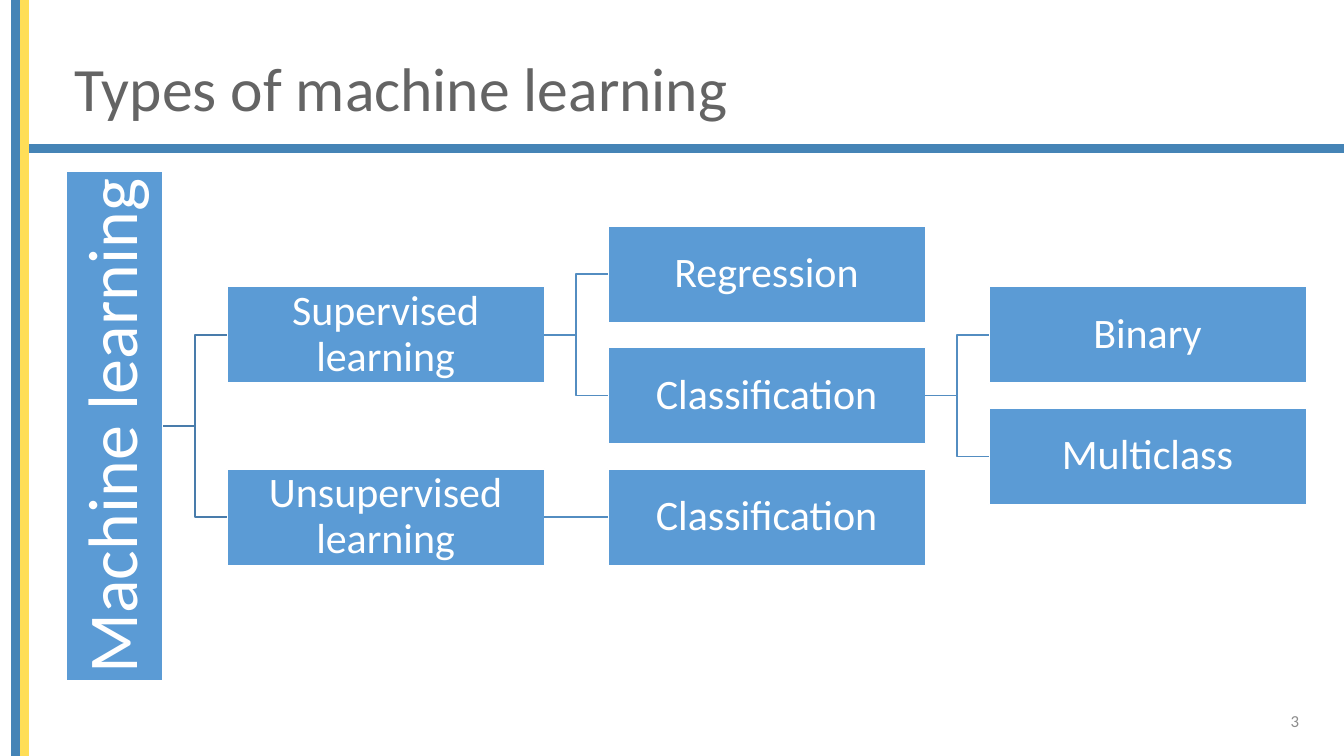
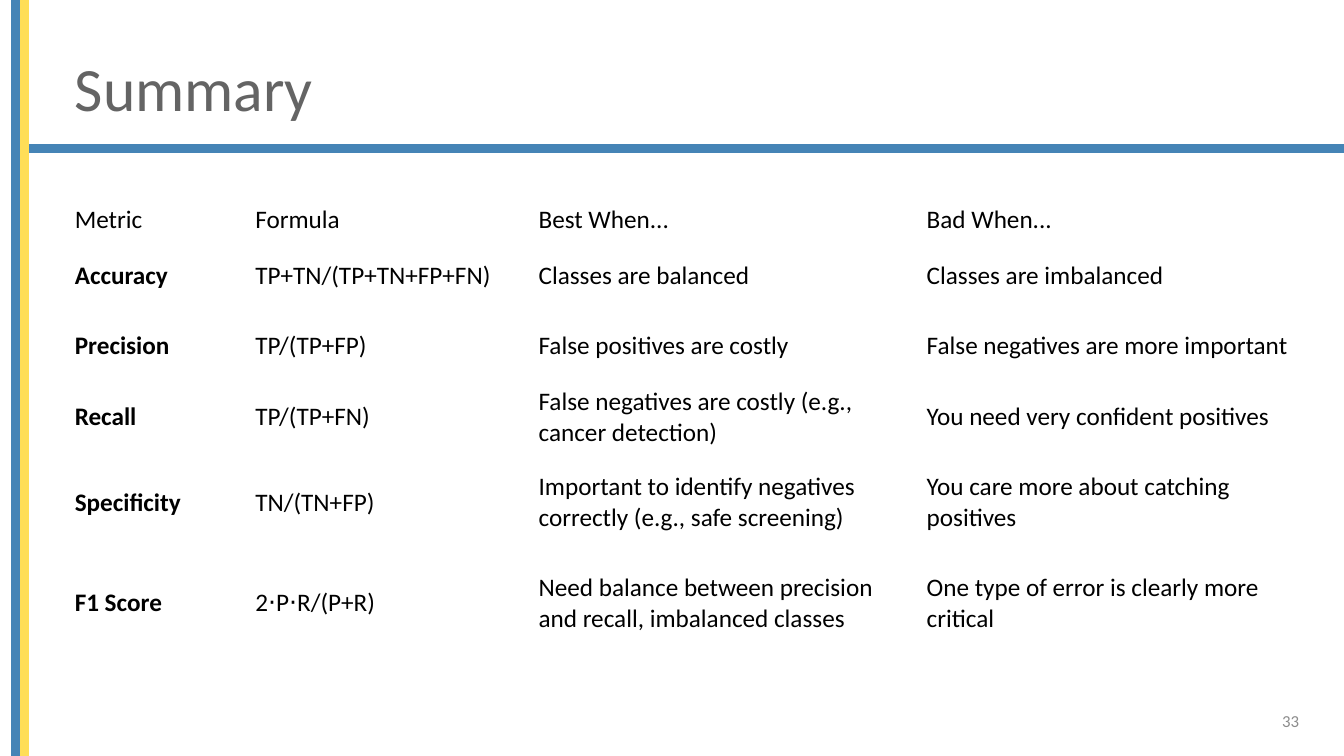
from lxml.etree import SubElement
from pptx import Presentation
from pptx.dml.color import RGBColor
from pptx.enum.shapes import MSO_CONNECTOR, MSO_SHAPE
from pptx.enum.text import MSO_ANCHOR, PP_ALIGN
from pptx.oxml.ns import qn
from pptx.util import Cm, Pt

FONT = "Calibri"
COLORS = {
    "blue": "4584B6",
    "yellow": "FFDE57",
    "title": "646464",
    "number": "8C8C8C",
    "box": "5B9BD5",
    "root_link": "497CAB",
    "link": "538DC1",
    "white": "FFFFFF",
    "black": "000000",
}
SLIDE_W, SLIDE_H = 33.87, 19.05

# Tree grid, in cm: columns of boxes, rows counted from the top box centre
BOX_W, BOX_H = 8, 2.43
COLUMN_X, COLUMN_STEP = 5.72, 9.6
ROW_Y, ROW_STEP = 6.91, 1.53
ROOT_X, ROOT_LENGTH = 1.68, 12.85

# Each node holds its children, or its row if it is a leaf
TREE = ("Machine learning", [
    ("Supervised learning", [
        ("Regression", 0),
        ("Classification", [("Binary", 1), ("Multiclass", 3)]),
    ]),
    ("Unsupervised learning", [("Classification", 4)]),
])

METRICS = [
    ("Metric", "Formula", "Best When...", "Bad When..."),
    ("Accuracy", "TP+TN/(TP+TN+FP+FN)", "Classes are balanced",
     "Classes are imbalanced"),
    ("Precision", "TP/(TP+FP)", "False positives are costly",
     "False negatives are more important"),
    ("Recall", "TP/(TP+FN)",
     "False negatives are costly (e.g., cancer detection)",
     "You need very confident positives"),
    ("Specificity", "TN/(TN+FP)",
     "Important to identify negatives correctly (e.g., safe screening)",
     "You care more about catching positives"),
    ("F1 Score", "2⋅P⋅R/(P+R)",
     "Need balance between precision and recall, imbalanced classes",
     "One type of error is clearly more critical"),
]
METRIC_WIDTHS = (4.55, 7.14, 9.78, 9.91)
METRIC_HEIGHTS = (1.02, 1.78, 1.78, 1.78, 2.54, 2.54)


def rgb(name):
    return RGBColor.from_string(COLORS[name])


def write_text(frame, text, *, size, color, bold=False, align=PP_ALIGN.LEFT,
               spacing=1.0):
    frame.word_wrap = True
    paragraph = frame.paragraphs[0]
    paragraph.alignment = align
    paragraph.line_spacing = spacing
    run = paragraph.add_run()
    run.text = text
    run.font.name = FONT
    run.font.size = Pt(size)
    run.font.bold = bold
    run.font.color.rgb = rgb(color)


def add_box(slide, x, y, width, height, fill, line):
    box = slide.shapes.add_shape(MSO_SHAPE.RECTANGLE,
                                 Cm(x), Cm(y), Cm(width), Cm(height))
    box.shadow.inherit = False
    box.fill.solid()
    box.fill.fore_color.rgb = rgb(fill)
    box.line.color.rgb = rgb(line)
    box.line.width = Pt(1)
    return box


def add_base_slide(prs, title, number):
    """Add a slide with its bands, title and number."""
    slide = prs.slides.add_slide(prs.slide_layouts[5])

    # Bands
    for x, y, width, height, color in (
        (0.51, 3.64, SLIDE_W - 0.51, 0.2, "blue"),
        (0.3, 0, 0.2, SLIDE_H, "blue"),
        (0.51, 0, 0.2, SLIDE_H, "yellow"),
    ):
        add_box(slide, x, y, width, height, color, color)

    # Title
    heading = slide.shapes.title
    heading.left, heading.top = Cm(1.63), Cm(1.02)
    heading.width, heading.height = Cm(29.92), Cm(2.57)
    heading.text_frame.vertical_anchor = MSO_ANCHOR.MIDDLE
    write_text(heading.text_frame, title, size=44, color="title", spacing=0.9)

    # Slide number
    page = slide.shapes.add_textbox(Cm(25.37), Cm(17.65), Cm(7.62), Cm(1.02))
    page.text_frame.vertical_anchor = MSO_ANCHOR.MIDDLE
    write_text(page.text_frame, number, size=12, color="number",
               align=PP_ALIGN.RIGHT)
    return slide


def add_node(slide, text, x, row, width=BOX_W, height=BOX_H, size=30):
    top = ROW_Y + row * ROW_STEP - height / 2
    node = add_box(slide, x, top, width, height, "box", "white")
    frame = node.text_frame
    frame.vertical_anchor = MSO_ANCHOR.MIDDLE
    frame.margin_left = frame.margin_right = Cm(0.05)
    frame.margin_top = frame.margin_bottom = Cm(0.05)
    write_text(frame, text, size=size, color="white",
               align=PP_ALIGN.CENTER, spacing=0.9)
    return node


def add_link(slide, parent, child, kind, color):
    link = slide.shapes.add_connector(kind, 0, 0, 0, 0)
    link.begin_connect(parent, 3)
    link.end_connect(child, 1)
    link.line.color.rgb = rgb(color)
    link.line.width = Pt(1)
    SubElement(link._element.spPr, qn("a:effectLst"))


def add_branch(slide, branch, depth=0):
    """Draw a node and all below it; return its box and its row."""
    text, below = branch
    is_leaf = isinstance(below, int)
    children = [] if is_leaf else [add_branch(slide, child, depth + 1)
                                   for child in below]
    # A parent stands midway between its children
    row = below if is_leaf else sum(r for _, r in children) / len(children)

    if depth == 0:
        node = add_node(slide, text, ROOT_X, row, width=BOX_H,
                        height=ROOT_LENGTH, size=50)
        node.text_frame._txBody.bodyPr.set("vert", "vert270")
    else:
        node = add_node(slide, text, COLUMN_X + (depth - 1) * COLUMN_STEP, row)

    kind = MSO_CONNECTOR.STRAIGHT if len(children) == 1 else MSO_CONNECTOR.ELBOW
    for child, _ in children:
        add_link(slide, node, child, kind, "link" if depth else "root_link")
    return node, row


def add_metric_table(slide):
    table = slide.shapes.add_table(
        len(METRICS), len(METRIC_WIDTHS), Cm(1.63), Cm(5.03),
        Cm(sum(METRIC_WIDTHS)), Cm(sum(METRIC_HEIGHTS))).table
    table.first_row = table.horz_banding = False
    for column, width in zip(table.columns, METRIC_WIDTHS):
        column.width = Cm(width)
    for row, height in zip(table.rows, METRIC_HEIGHTS):
        row.height = Cm(height)
    for r, metric in enumerate(METRICS):
        for c, text in enumerate(metric):
            cell = table.cell(r, c)
            cell.fill.background()
            cell.vertical_anchor = MSO_ANCHOR.MIDDLE
            write_text(cell.text_frame, text, size=18, color="black",
                       bold=r > 0 and c == 0)


def main():
    prs = Presentation()
    prs.slide_width, prs.slide_height = Cm(SLIDE_W), Cm(SLIDE_H)

    # Types of machine learning
    types = add_base_slide(prs, "Types of machine learning", "3")
    add_branch(types, TREE)

    # Summary of metrics
    summary = add_base_slide(prs, "Summary", "33")
    add_metric_table(summary)

    prs.save("out.pptx")


if __name__ == "__main__":
    main()
